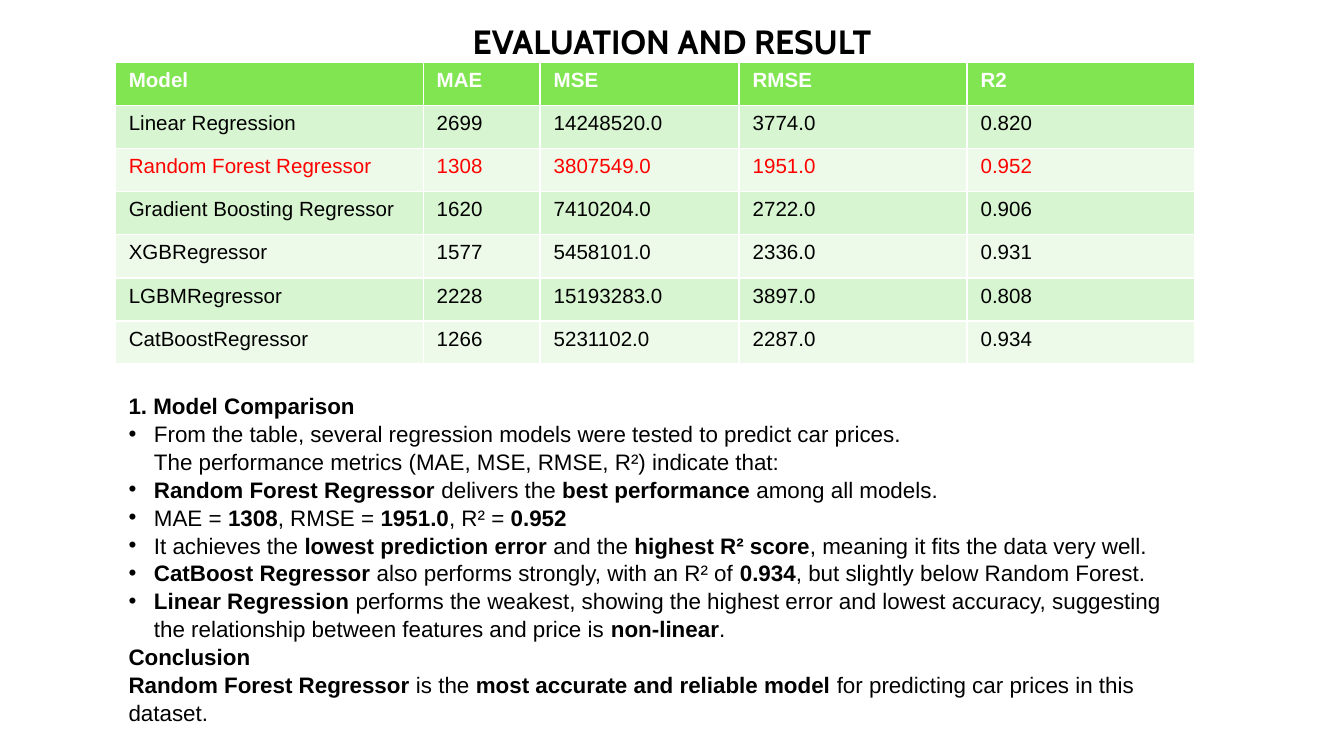
"""Build the evaluation slide: a model metrics table with its written conclusions."""
from dataclasses import dataclass

from lxml.etree import SubElement
from pptx import Presentation
from pptx.dml.color import RGBColor
from pptx.enum.text import MSO_ANCHOR, PP_ALIGN
from pptx.oxml.ns import qn
from pptx.util import Cm, Pt


@dataclass(frozen=True)
class Theme:
    ink: str = "000000"
    light: str = "FFFFFF"
    best: str = "FF0000"
    header: str = "81E552"
    bands: tuple = ("D8F5D1", "EDFAE9")
    title_font: str = "Cabin"
    body_font: str = "Arial"
    title_size: int = 18
    body_size: int = 12
    table_size: int = 11


theme = Theme()


def add_span(para, text, color, size, bold=False, name=theme.body_font):
    span = para.add_run()
    span.text = text
    for key, value in {"size": Pt(size), "bold": bold, "name": name}.items():
        setattr(span.font, key, value)
    span.font.color.rgb = RGBColor.from_string(color)


def add_box(page, left, top, width, height, anchor):
    frame = page.shapes.add_textbox(Cm(left), Cm(top), Cm(width), Cm(height)).text_frame
    margins = {f"margin_{side}": Cm(0.25) for side in ("left", "top", "right", "bottom")}
    for key, value in {"word_wrap": True, "vertical_anchor": anchor, **margins}.items():
        setattr(frame, key, value)
    return frame


metrics = [
    ("Model", "MAE", "MSE", "RMSE", "R2"),
    ("Linear Regression", "2699", "14248520.0", "3774.0", "0.820"),
    ("Random Forest Regressor", "1308", "3807549.0", "1951.0", "0.952"),
    ("Gradient Boosting Regressor", "1620", "7410204.0", "2722.0", "0.906"),
    ("XGBRegressor", "1577", "5458101.0", "2336.0", "0.931"),
    ("LGBMRegressor", "2228", "15193283.0", "3897.0", "0.808"),
    ("CatBoostRegressor", "1266", "5231102.0", "2287.0", "0.934"),
]
column_widths = (5.82, 2.21, 3.76, 4.31, 4.31)
best_row = 2

findings = [
    (None, "**1. Model Comparison**"),
    (0, "From the table, several regression models were tested to predict car prices.\n"
        "The performance metrics (MAE, MSE, RMSE, R²) indicate that:"),
    (0, "**Random Forest Regressor** delivers the **best performance** among all models."),
    (1, "MAE = **1308**, RMSE = **1951.0**, R² = **0.952**"),
    (1, "It achieves the **lowest prediction error** and the **highest R² score**, "
        "meaning it fits the data very well."),
    (0, "**CatBoost Regressor** also performs strongly, with an R² of **0.934**, "
        "but slightly below Random Forest."),
    (0, "**Linear Regression** performs the weakest, showing the highest error and lowest "
        "accuracy, suggesting the relationship between features and price is **non-linear**."),
    (None, "**Conclusion**"),
    (None, "**Random Forest Regressor** is the **most accurate and reliable model** "
           "for predicting car prices in this dataset."),
]

deck = Presentation()
deck.slide_width, deck.slide_height = Cm(25.4), Cm(14.29)
page = deck.slides.add_slide(deck.slide_layouts[6])

title = add_box(page, 1.27, 0.1, 22.86, 1.35, MSO_ANCHOR.MIDDLE).paragraphs[0]
title.alignment = PP_ALIGN.CENTER
add_span(title, "EVALUATION AND RESULT", theme.ink, theme.title_size, True, theme.title_font)

comparison = add_box(page, 2.18, 7.14, 20.42, 6.4, MSO_ANCHOR.TOP)
for number, (level, text) in enumerate(findings):
    para = comparison.add_paragraph() if number else comparison.paragraphs[0]
    para.line_spacing = 1.04
    if level is not None:
        para.level = level
        properties = para._p.get_or_add_pPr()
        properties.set("marL", str(Cm(0.48)))
        properties.set("indent", str(-Cm(0.48)))
        SubElement(properties, qn("a:buFont"), typeface=theme.body_font)
        SubElement(properties, qn("a:buChar"), char="•")
    for line_number, line in enumerate(text.split("\n")):
        if line_number:
            para.add_line_break()
        for part_number, part in enumerate(line.split("**")):
            if part:
                add_span(para, part, theme.ink, theme.body_size, part_number % 2 == 1)

table = page.shapes.add_table(
    len(metrics), len(column_widths), Cm(2.18), Cm(1.18), Cm(20.41), Cm(5.7)
).table
for column, width in zip(table.columns, column_widths):
    column.width = Cm(width)
for row, values in enumerate(metrics):
    is_header = row == 0
    fill = theme.header if is_header else theme.bands[(row - 1) % 2]
    color = theme.light if is_header else theme.best if row == best_row else theme.ink
    for column, value in enumerate(values):
        cell = table.cell(row, column)
        cell.fill.solid()
        cell.fill.fore_color.rgb = RGBColor.from_string(fill)
        add_span(cell.text_frame.paragraphs[0], value, color, theme.table_size, is_header)

deck.save("out.pptx")
